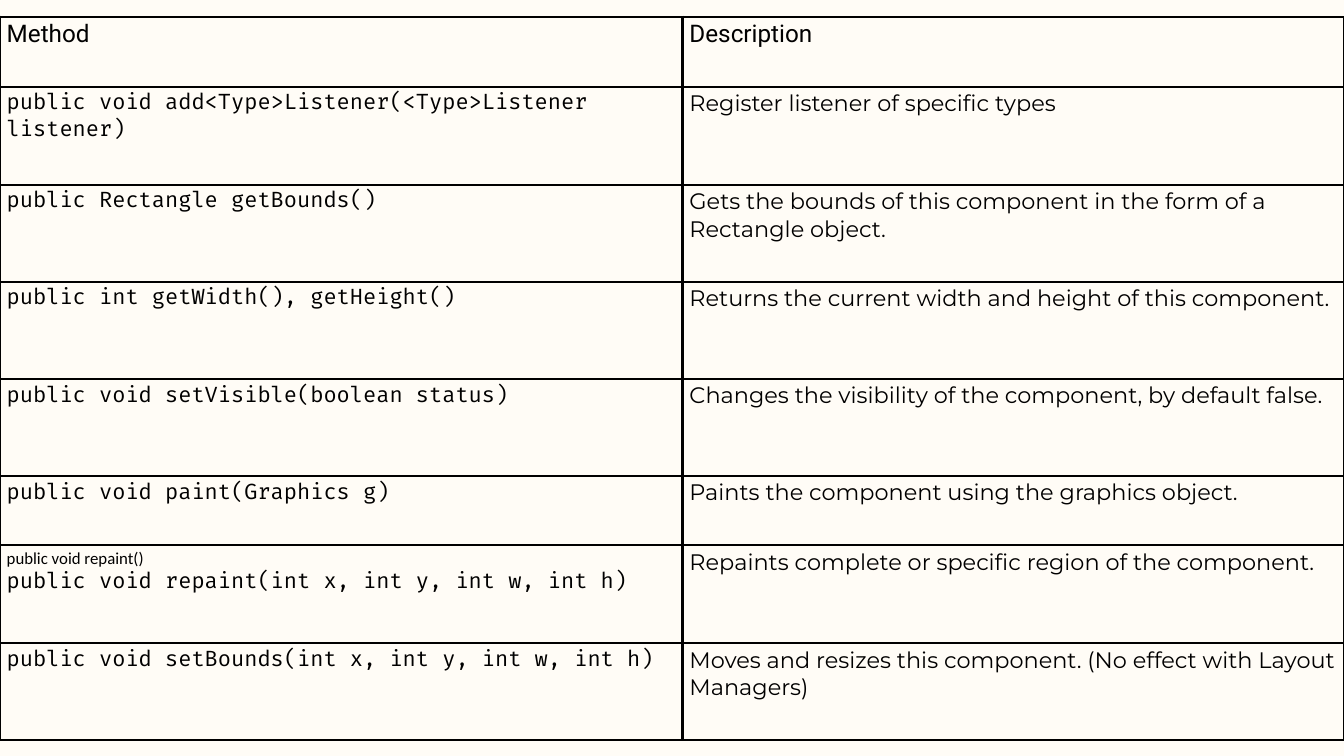
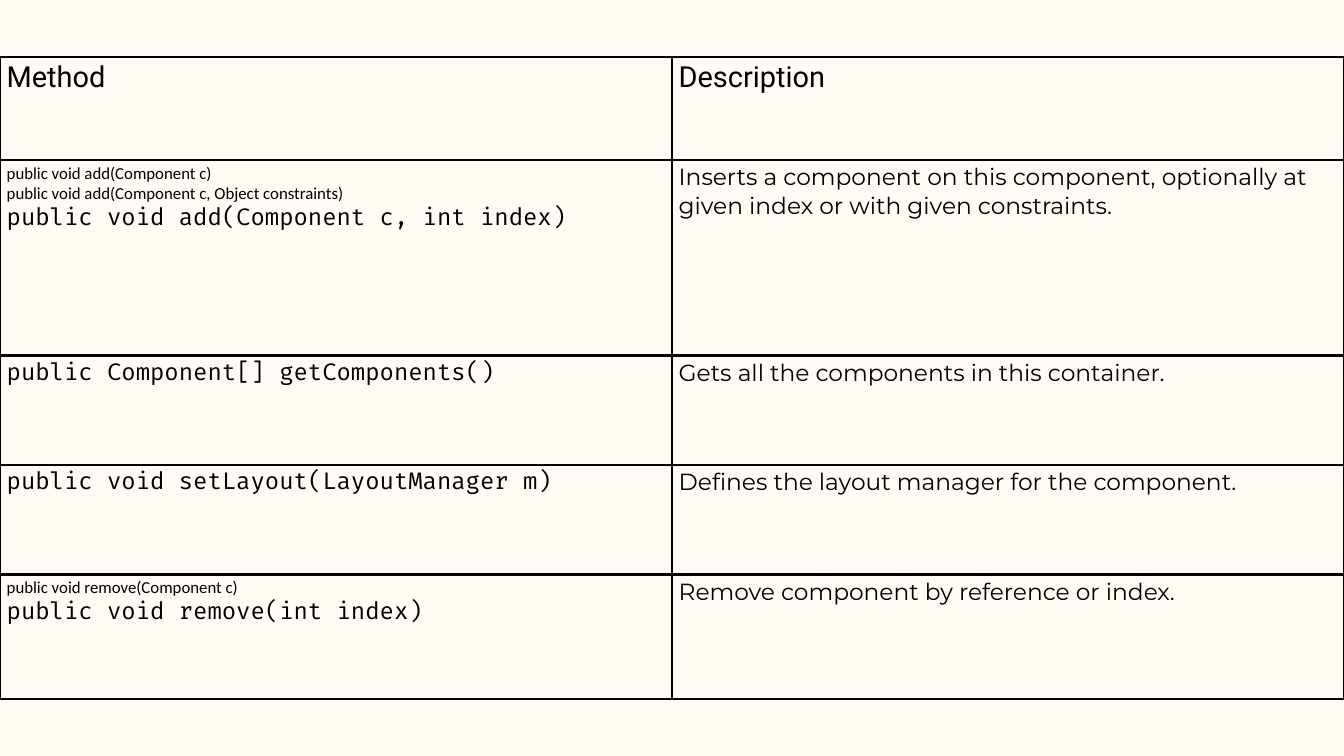
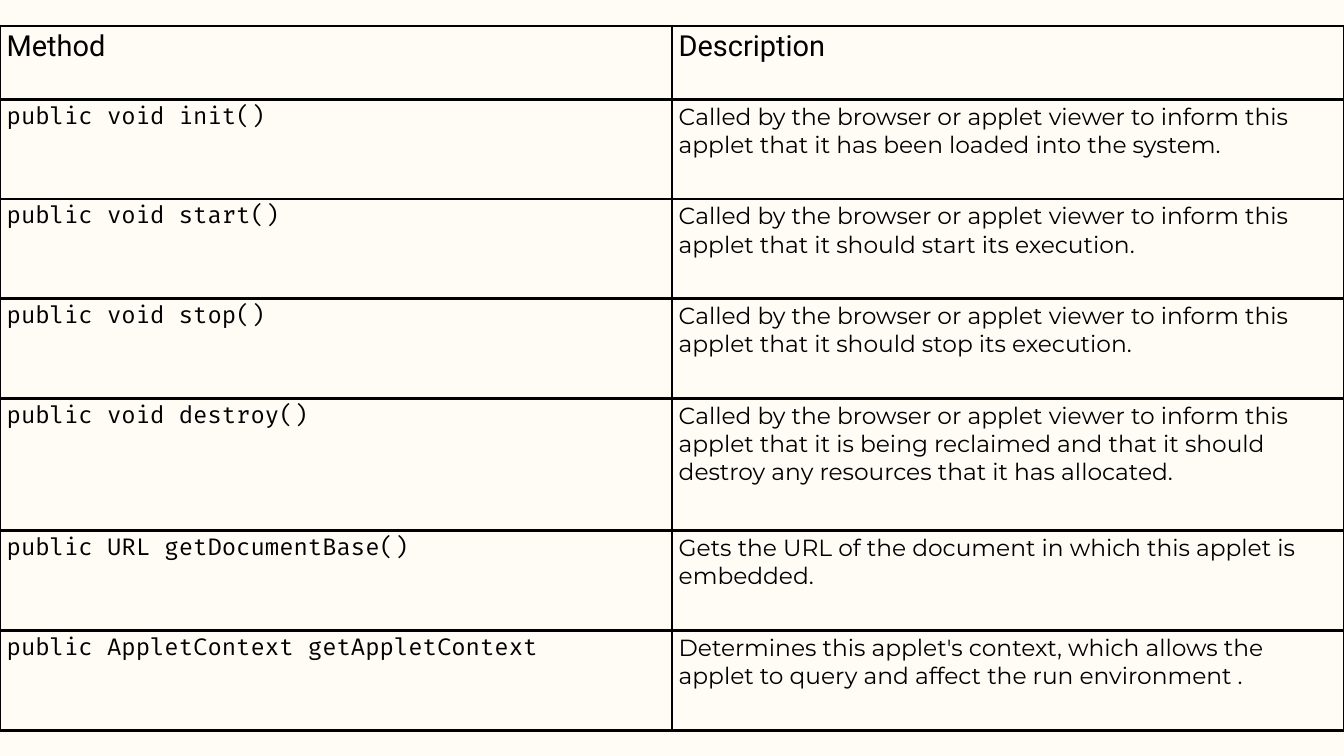
"""Build three slides of method tables for components, containers and applets."""
from lxml import etree
from pptx import Presentation
from pptx.dml.color import RGBColor
from pptx.oxml.ns import qn
from pptx.util import Pt

PAPER, INK = "FFFCF6", "000000"
WIDE, HIGH, EDGE = 1440, 810, 3
HEAD, CODE, PROSE, NOTE = "Roboto", "Fira Code", "Montserrat", "Calibri"
NOTE_SIZE = 18
TITLES = ("Method", "Description")

PAGES = [
    {
        "top": 18, "split": 731.5, "head": 75,
        "sizes": {HEAD: 26, CODE: 23, PROSE: 24},
        "rows": [
            (105, ["public void add<Type>Listener(<Type>Listener listener)"],
             "Register listener of specific types"),
            (104, ["public Rectangle getBounds()"],
             "Gets the bounds of this component in the form of a Rectangle object."),
            (104, ["public int getWidth(), getHeight()"],
             "Returns the current width and height of this component."),
            (104, ["public void setVisible(boolean status)"],
             "Changes the visibility of the component, by default false."),
            (74, ["public void paint(Graphics g)"],
             "Paints the component using the graphics object."),
            (105, ["public void repaint()",
                   "public void repaint(int x, int y, int w, int h)"],
             "Repaints complete or specific region of the component."),
            (104, ["public void setBounds(int x, int y, int w, int h)"],
             "Moves and resizes this component. (No effect with Layout Managers)"),
        ],
    },
    {
        "top": 61.2, "split": 720, "head": 110.2,
        "sizes": {HEAD: 31, CODE: 25, PROSE: 25},
        "rows": [
            (209.5, ["public void add(Component c)",
                     "public void add(Component c, Object constraints)",
                     "public void add(Component c, int index)"],
             "Inserts a component on this component, optionally at given index "
             "or with given constraints."),
            (117.4, ["public Component[] getComponents()"],
             "Gets all the components in this container."),
            (117.4, ["public void setLayout(LayoutManager m)"],
             "Defines the layout manager for the component."),
            (133.2, ["public void remove(Component c)", "public void remove(int index)"],
             "Remove component by reference or index."),
        ],
    },
    {
        "top": 28, "split": 720, "head": 78.5,
        "sizes": {HEAD: 31, CODE: 25, PROSE: 25},
        "rows": [
            (106.8, ["public void init()"],
             "Called by the browser or applet viewer to inform this applet "
             "that it has been loaded into the system."),
            (106.8, ["public void start()"],
             "Called by the browser or applet viewer to inform this applet "
             "that it should start its execution."),
            (106.8, ["public void stop()"],
             "Called by the browser or applet viewer to inform this applet "
             "that it should stop its execution."),
            (141.8, ["public void destroy()"],
             "Called by the browser or applet viewer to inform this applet that it is "
             "being reclaimed and that it should destroy any resources that it has allocated."),
            (106.8, ["public URL getDocumentBase()"],
             "Gets the URL of the document in which this applet is embedded."),
            (107.2, ["public AppletContext getAppletContext"],
             "Determines this applet's context, which allows the applet to query "
             "and affect the run environment ."),
        ],
    },
]


def paint(fill, tone):
    fill.solid()
    fill.fore_color.rgb = RGBColor.from_string(tone)


def write(para, text, font, size, tone=INK):
    run = para.add_run()
    run.text = text
    run.font.name = font
    run.font.size = Pt(size)
    run.font.bold = False
    paint(run.font.fill, tone)


def frame(cell):
    cell.fill.background()
    props = cell._tc.get_or_add_tcPr()
    for spot, side in enumerate(("lnL", "lnR", "lnT", "lnB")):
        line = etree.Element(qn(f"a:{side}"), w=str(Pt(EDGE)))
        solid = etree.SubElement(line, qn("a:solidFill"))
        etree.SubElement(solid, qn("a:srgbClr"), val=INK)
        props.insert(spot, line)


def fill_cell(cell, lines, font, sizes):
    frame(cell)
    text = cell.text_frame
    for spot, line in enumerate(lines):
        para = text.add_paragraph() if spot else text.paragraphs[0]
        if spot < len(lines) - 1:
            write(para, line, font=NOTE, size=NOTE_SIZE)
        else:
            write(para, line, font=font, size=sizes[font])


def add_grid(slide, page):
    rows, sizes = page["rows"], page["sizes"]
    tall = [page["head"]] + [row[0] for row in rows]
    grid = slide.shapes.add_table(len(tall), 2, Pt(0), Pt(page["top"]),
                                  Pt(WIDE), Pt(sum(tall))).table
    grid.first_row = grid.horz_banding = False
    for col, width in zip(grid.columns, (page["split"], WIDE - page["split"])):
        col.width = Pt(width)
    for row, height in zip(grid.rows, tall):
        row.height = Pt(height)
    for col, title in enumerate(TITLES):
        fill_cell(grid.cell(0, col), [title], HEAD, sizes)
    for spot, (_, code, prose) in enumerate(rows, 1):
        fill_cell(grid.cell(spot, 0), code, CODE, sizes)
        fill_cell(grid.cell(spot, 1), [prose], PROSE, sizes)


def main():
    deck = Presentation()
    deck.slide_width, deck.slide_height = Pt(WIDE), Pt(HIGH)
    paint(deck.slide_master.background.fill, PAPER)
    blank = deck.slide_layouts.get_by_name("Blank")
    for page in PAGES:
        add_grid(deck.slides.add_slide(blank), page)
    deck.save("out.pptx")


if __name__ == "__main__":
    main()
